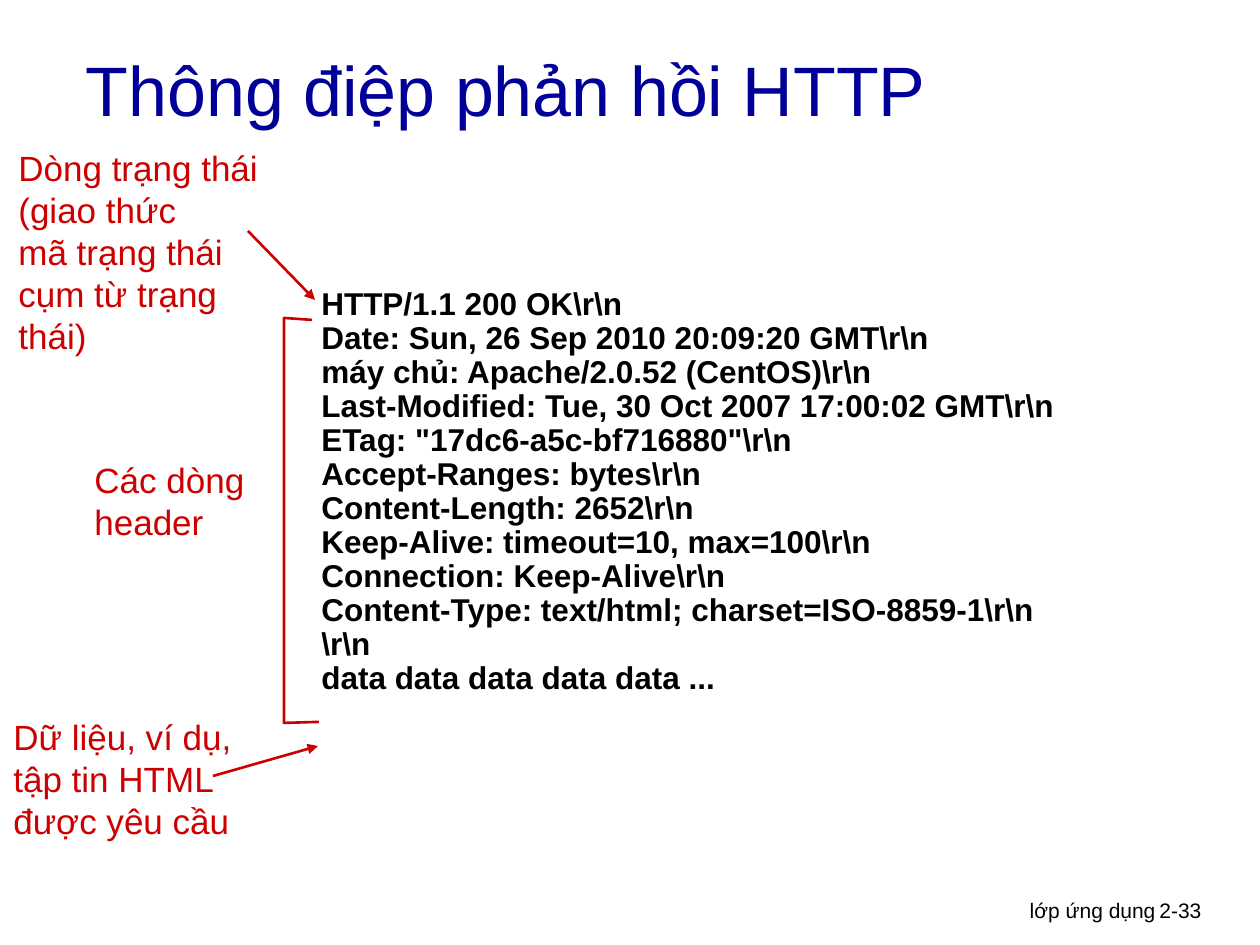
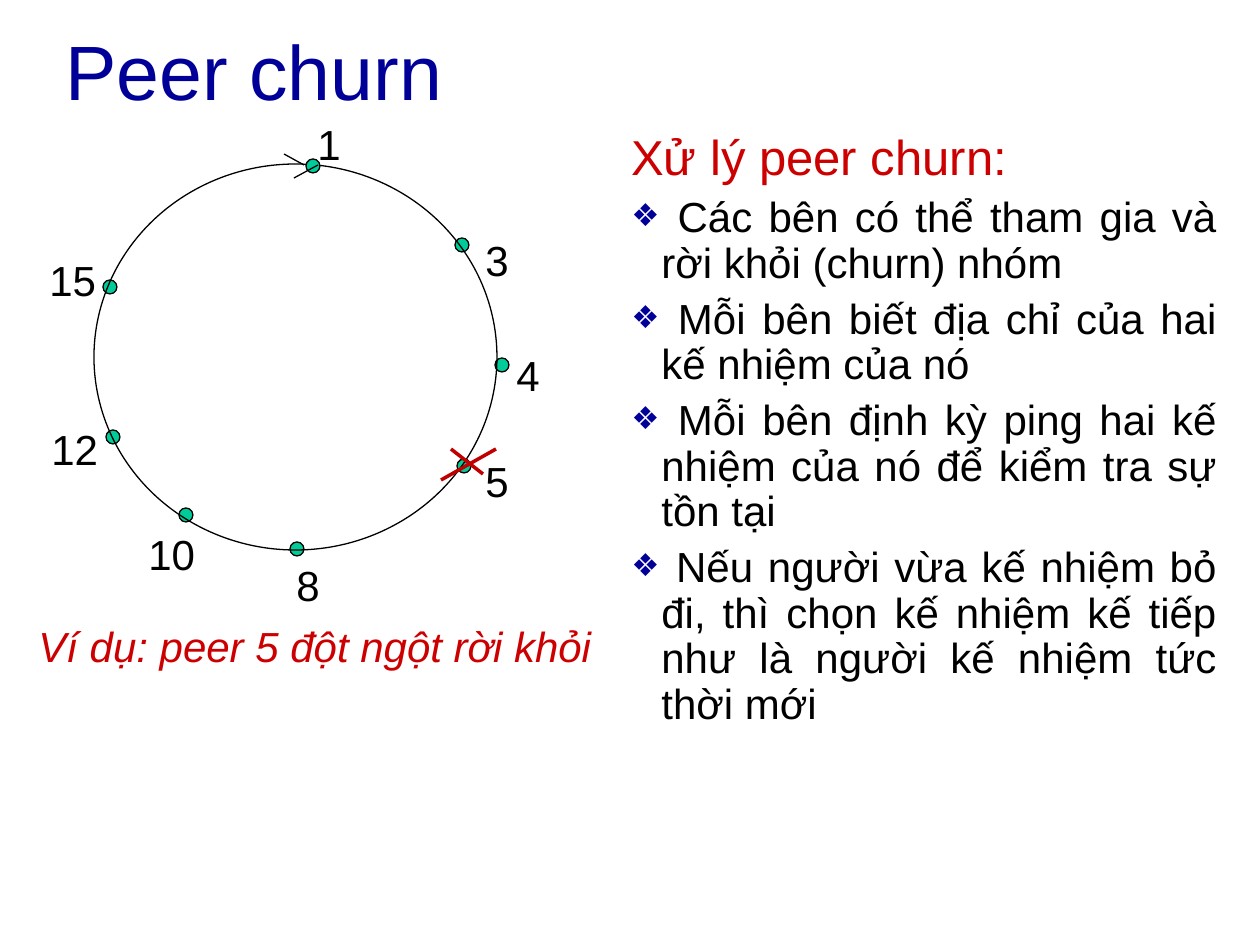
from lxml.etree import SubElement
from pptx import Presentation
from pptx.dml.color import RGBColor
from pptx.enum.shapes import MSO_CONNECTOR as Link, MSO_SHAPE as Shape
from pptx.enum.text import MSO_ANCHOR as Anchor, PP_ALIGN as Align
from pptx.oxml.ns import qn
from pptx.util import Pt

PX = 914400 / 126
FONT = "Arial"
COLORS = {"title": "000099", "note": "CC0000", "ink": "000000",
          "peer": "00CC99", "cross": "C00000"}

FOOTERS = [
    ("lớp ứng dụng", (768, 891, 400, 39), Align.RIGHT),
    ("2-33", (1147, 891, 93, 38), Align.LEFT),
]
RESPONSE_TITLE = ("Thông điệp phản hồi HTTP", (73, 21, 1071, 135), 40)
RESPONSE_NOTES = [
    (["Dòng trạng thái", "(giao thức", "mã trạng thái", "cụm từ trạng thái)"],
     (6, 140, 301, 181)),
    (["Các dòng", "header"], (82, 452, 175, 97)),
    (["Dữ liệu, ví dụ,", "tập tin HTML", "được yêu cầu"], (1, 709, 253, 139)),
]
RESPONSE_ARROWS = [((248, 231), (315, 300)), ((213, 776), (318, 746))]
HEADER_BRACKET = [(312, 320), (284, 318), (284, 723), (319, 722)]
MESSAGE_BOX = (309, 282, 869, 421)
MESSAGE = [
    r"HTTP/1.1 200 OK\r\n",
    r"Date: Sun, 26 Sep 2010 20:09:20 GMT\r\n",
    r"máy chủ: Apache/2.0.52 (CentOS)\r\n",
    r"Last-Modified: Tue, 30 Oct 2007 17:00:02 GMT\r\n",
    r'ETag: "17dc6-a5c-bf716880"\r\n',
    r"Accept-Ranges: bytes\r\n",
    r"Content-Length: 2652\r\n",
    r"Keep-Alive: timeout=10, max=100\r\n",
    r"Connection: Keep-Alive\r\n",
    r"Content-Type: text/html; charset=ISO-8859-1\r\n",
    r"\r\n",
    "data data data data data ...",
]

CHURN_TITLE = ("Peer churn", (53, 0, 1134, 140), 44)
CAPTION = ("Ví dụ: peer 5 đột ngột rời khỏi", (26, 620, 1134, 294))
RING = (94, 164, 403, 386)
DOT = 14
FIRST_PEER = ("1", (306, 159), (305, 112))
OTHER_PEERS = [
    ("3", (455, 238), (473, 228)),
    ("4", (495, 358), (504, 343)),
    ("5", (457, 459), (473, 449)),
    ("8", (290, 542), (284, 553)),
    ("10", (179, 508), (136, 522)),
    ("12", (106, 430), (39, 417)),
    ("15", (103, 280), (37, 248)),
]
DIRECTION_MARK = [((284, 154), (304, 165)), ((318, 165), (294, 178))]
LEAVING_CROSS = [((451, 449), (483, 474)), ((496, 449), (441, 480))]
CHURN_BOX = (619, 120, 610, 614)
CHURN_HEADING = "Xử lý peer churn:"
CHURN_POINTS = [
    " Các bên có thể tham gia và rời khỏi (churn) nhóm",
    " Mỗi bên biết địa chỉ của hai kế nhiệm của nó",
    " Mỗi bên định kỳ ping hai kế nhiệm của nó để kiểm tra sự tồn tại",
    " Nếu người vừa kế nhiệm bỏ đi, thì chọn kế nhiệm kế tiếp như là người kế nhiệm tức thời mới",
]
POINT_INDENT = 30

JUSTIFIED = {"alignment": Align.JUSTIFY}
POINT_FORMAT = {**JUSTIFIED, "line_spacing": Pt(26), "space_before": Pt(6)}


def emu(lengths):
    return [round(length * PX) for length in lengths]


def rgb(color):
    return RGBColor.from_string(COLORS[color])


def apply(target, values):
    for name, value in values.items():
        setattr(target, name, value)


def write(paragraph, text, size, color, layout=None, **style):
    run = paragraph.add_run()
    run.text = text
    apply(run.font, {"name": FONT, "size": Pt(size), **style})
    run.font.color.rgb = rgb(color)
    apply(paragraph, layout or {})


def add_text(slide, lines, box, size, color, layout=None, wrap=True, **style):
    frame = slide.shapes.add_textbox(*emu(box)).text_frame
    frame.word_wrap = wrap
    for index, line in enumerate(lines):
        paragraph = frame.add_paragraph() if index else frame.paragraphs[0]
        write(paragraph, line, size, color, layout, **style)
    return frame


def add_titled_slide(deck, text, box, size):
    slide = deck.slides.add_slide(deck.slide_layouts[5])
    title = slide.shapes.title
    apply(title, dict(zip(("left", "top", "width", "height"), emu(box))))
    apply(title.text_frame, {"vertical_anchor": Anchor.MIDDLE, "word_wrap": True})
    write(title.text_frame.paragraphs[0], text, size, "title", {"alignment": Align.LEFT})
    return slide


def add_line(slide, start, end, color, width, arrow=False):
    line = slide.shapes.add_connector(Link.STRAIGHT, *emu(start + end))
    line.line.color.rgb = rgb(color)
    line.line.width = Pt(width)
    if arrow:
        SubElement(line.line._get_or_add_ln(), qn("a:tailEnd"), type="triangle")
    SubElement(line._element.spPr, qn("a:effectLst"))


def add_oval(slide, box, fill=None):
    oval = slide.shapes.add_shape(Shape.OVAL, *emu(box))
    oval.shadow.inherit = False
    if fill:
        oval.fill.solid()
        oval.fill.fore_color.rgb = rgb(fill)
    else:
        oval.fill.background()
    oval.line.color.rgb = rgb("ink")
    oval.line.width = Pt(0.75)


def add_peer(slide, number, dot, label):
    add_oval(slide, (*dot, DOT, DOT), "peer")
    add_text(slide, [number], (*label, 24 + 24 * len(number), 63), 24, "ink", wrap=False)


def add_bullet(paragraph):
    properties = paragraph._p.get_or_add_pPr()
    indent = round(POINT_INDENT * PX)
    properties.set("marL", str(indent))
    properties.set("indent", str(-indent))
    SubElement(SubElement(properties, qn("a:buClr")), qn("a:srgbClr"), val=COLORS["title"])
    SubElement(properties, qn("a:buSzPct"), val="75000")
    SubElement(properties, qn("a:buFont"), typeface=FONT)
    SubElement(properties, qn("a:buChar"), char="❖")


def build_response(deck):
    slide = add_titled_slide(deck, *RESPONSE_TITLE)
    for text, box, alignment in FOOTERS:
        add_text(slide, [text], box, 12, "ink", {"alignment": alignment})
    for lines, box in RESPONSE_NOTES:
        add_text(slide, lines, box, 20, "note", wrap=False)
    for start, end in RESPONSE_ARROWS:
        add_line(slide, start, end, "note", 1.5, arrow=True)
    outline = slide.shapes.build_freeform(*HEADER_BRACKET[0], scale=PX)
    outline.add_line_segments(HEADER_BRACKET[1:], close=False)
    bracket = outline.convert_to_shape()
    bracket.shadow.inherit = False
    bracket.fill.background()
    bracket.line.color.rgb = rgb("note")
    bracket.line.width = Pt(1.5)
    add_text(slide, MESSAGE, MESSAGE_BOX, 18, "ink", {"line_spacing": 0.9}, bold=True)


def build_churn(deck):
    slide = add_titled_slide(deck, *CHURN_TITLE)
    caption, box = CAPTION
    add_text(slide, [caption], box, 24, "note", {"line_spacing": 0.9}, italic=True)
    for peer in OTHER_PEERS:
        add_peer(slide, *peer)
    add_oval(slide, RING)
    add_peer(slide, *FIRST_PEER)
    for strokes, color, width in ((DIRECTION_MARK, "ink", 0.75), (LEAVING_CROSS, "cross", 2)):
        for start, end in strokes:
            add_line(slide, start, end, color, width)
    advice = add_text(slide, [CHURN_HEADING], CHURN_BOX, 28, "note", JUSTIFIED)
    for point in CHURN_POINTS:
        paragraph = advice.add_paragraph()
        add_bullet(paragraph)
        write(paragraph, point, 24, "ink", POINT_FORMAT)


def main():
    deck = Presentation()
    deck.slide_width, deck.slide_height = emu((1260, 945))
    build_response(deck)
    build_churn(deck)
    deck.save("out.pptx")


if __name__ == "__main__":
    main()
